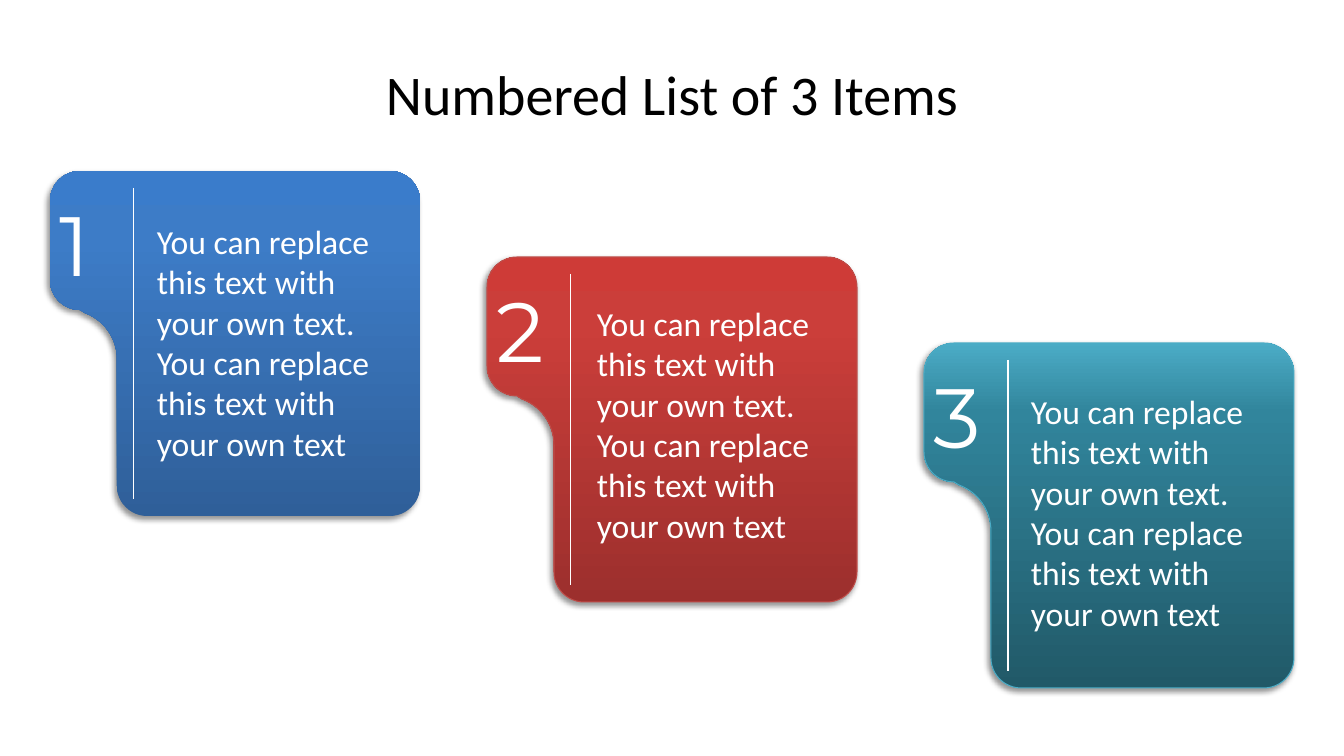
from copy import deepcopy
from dataclasses import dataclass
from math import cos, radians, sin

from lxml.etree import SubElement
from pptx import Presentation
from pptx.dml.color import RGBColor
from pptx.enum.shapes import MSO_CONNECTOR
from pptx.enum.text import MSO_ANCHOR, MSO_AUTO_SIZE, PP_ALIGN
from pptx.oxml.ns import qn
from pptx.util import Emu, Pt

EMU_PER_PX = 914400 / 100.8


@dataclass(frozen=True)
class Theme:
    body_font: str = "Calibri"
    number_font: str = "Montserrat"
    title_size: int = 40
    number_size: int = 60
    body_size: int = 24
    line_width: float = 0.75
    dark: str = "000000"
    light: str = "FFFFFF"
    # Each gradient runs from the bottom of a card to its top.
    gradients: tuple = (
        ("2F5F99", "3D7CC7", "3A7CCB"),
        ("9C2F2D", "CB3E3A", "CE3B37"),
        ("215968", "31859C", "4BACC6"),
    )
    outlines: tuple = (None, "BF4C48", "4BACC6")
    gradient_positions: tuple = (0, 0.8, 1)


THEME = Theme()

CARD_LEFT, CARD_TOP = 50, 171
CARD_STEP_X, CARD_STEP_Y = 437, 86
CARD_WIDTH, CARD_HEIGHT = 370, 345
CORNER_RADIUS = 30
TAB_HEIGHT = 139
TAB_WIDTH = 67
NOTCH_RADIUS = 49
DIVIDER_X, DIVIDER_MARGIN = 84, 17
TEXT_OFFSETS = ((97, 45), (100, 41), (97, 43))
CARD_TEXT = ("You can replace this text with your own text. "
             "You can replace this text with your own text")


def px(value):
    return Emu(round(value * EMU_PER_PX))


def arc(center_x, center_y, radius, start, end, steps=12):
    """Return points along an arc, with angles in degrees clockwise from the right."""
    angles = [radians(start + (end - start) * i / steps) for i in range(steps + 1)]
    return [(center_x + radius * cos(a), center_y + radius * sin(a)) for a in angles]


def card_outline():
    radius = CORNER_RADIUS
    right, bottom = CARD_WIDTH - radius, CARD_HEIGHT - radius
    return [
        *arc(right, radius, radius, 0, -90),
        *arc(radius, radius, radius, -90, -180),
        *arc(radius, TAB_HEIGHT - radius, radius, 180, 90),
        *arc(TAB_WIDTH - NOTCH_RADIUS, TAB_HEIGHT + NOTCH_RADIUS, NOTCH_RADIUS, -70, 0),
        *arc(TAB_WIDTH + radius, bottom, radius, 180, 90),
        *arc(right, bottom, radius, 90, 0),
    ]


def fill_gradient(shape, colors):
    shape.fill.gradient()
    shape.fill.gradient_angle = 90
    stop_list = shape._element.spPr.find(qn("a:gradFill")).find(qn("a:gsLst"))
    stop_list.append(deepcopy(stop_list[-1]))
    stops = zip(shape.fill.gradient_stops, THEME.gradient_positions, colors)
    for stop, position, color in stops:
        stop.position = position
        stop.color.rgb = RGBColor.from_string(color)


def add_shadow(shape):
    shape.shadow.inherit = False
    effects = shape._element.spPr.find(qn("a:effectLst"))
    shadow = SubElement(effects, qn("a:outerShdw"), blurRad=str(Pt(4)), dist=str(Pt(3)),
                        dir=str(135 * 60000), algn="tr", rotWithShape="0")
    color = SubElement(shadow, qn("a:srgbClr"), val=THEME.dark)
    SubElement(color, qn("a:alpha"), val="42000")


def add_panel(shapes, left, top, colors, outline):
    points = [(px(left + x), px(top + y)) for x, y in card_outline()]
    builder = shapes.build_freeform(*points[0], scale=1.0)
    builder.add_line_segments(points[1:], close=True)
    shape = builder.convert_to_shape()
    fill_gradient(shape, colors)
    if outline:
        shape.line.color.rgb = RGBColor.from_string(outline)
        shape.line.width = Pt(THEME.line_width)
    else:
        shape.line.fill.background()
    add_shadow(shape)


def add_text(shapes, box, text, font, size, color, wrap=True):
    shape = shapes.add_textbox(*map(px, box))
    frame = shape.text_frame
    frame.text = text
    frame.word_wrap = wrap
    frame.auto_size = MSO_AUTO_SIZE.SHAPE_TO_FIT_TEXT
    run_font = frame.paragraphs[0].runs[0].font
    run_font.name = font
    run_font.size = Pt(size)
    run_font.color.rgb = RGBColor.from_string(color)
    return frame


def add_divider(shapes, x, top, bottom):
    line = shapes.add_connector(MSO_CONNECTOR.STRAIGHT, px(x), px(top), px(x), px(bottom))
    line.line.color.rgb = RGBColor.from_string(THEME.light)
    line.line.width = Pt(THEME.line_width)
    SubElement(line._element.spPr, qn("a:effectLst"))


def add_card(slide, index):
    shapes = slide.shapes.add_group_shape().shapes
    left = CARD_LEFT + index * CARD_STEP_X
    top = CARD_TOP + index * CARD_STEP_Y
    text_x, text_y = TEXT_OFFSETS[index]
    add_panel(shapes, left, top, THEME.gradients[index], THEME.outlines[index])
    add_text(shapes, (left, top + DIVIDER_MARGIN, 77, 112), str(index + 1),
             THEME.number_font, THEME.number_size, THEME.light, wrap=False)
    add_divider(shapes, left + DIVIDER_X, top + DIVIDER_MARGIN,
                top + CARD_HEIGHT - DIVIDER_MARGIN)
    add_text(shapes, (left + text_x, top + text_y, 260, 254), CARD_TEXT,
             THEME.body_font, THEME.body_size, THEME.light)


def add_title(slide, text):
    frame = add_text(slide.shapes, (67, 30, 1210, 126), text,
                     THEME.body_font, THEME.title_size, THEME.dark)
    frame.auto_size = MSO_AUTO_SIZE.NONE
    frame.vertical_anchor = MSO_ANCHOR.MIDDLE
    frame.paragraphs[0].alignment = PP_ALIGN.CENTER


def main():
    presentation = Presentation()
    presentation.slide_width = px(1344)
    presentation.slide_height = px(756)
    slide = presentation.slides.add_slide(presentation.slide_layouts[6])
    add_title(slide, "Numbered List of 3 Items")
    for index in range(len(THEME.gradients)):
        add_card(slide, index)
    presentation.save("out.pptx")


if __name__ == "__main__":
    main()
